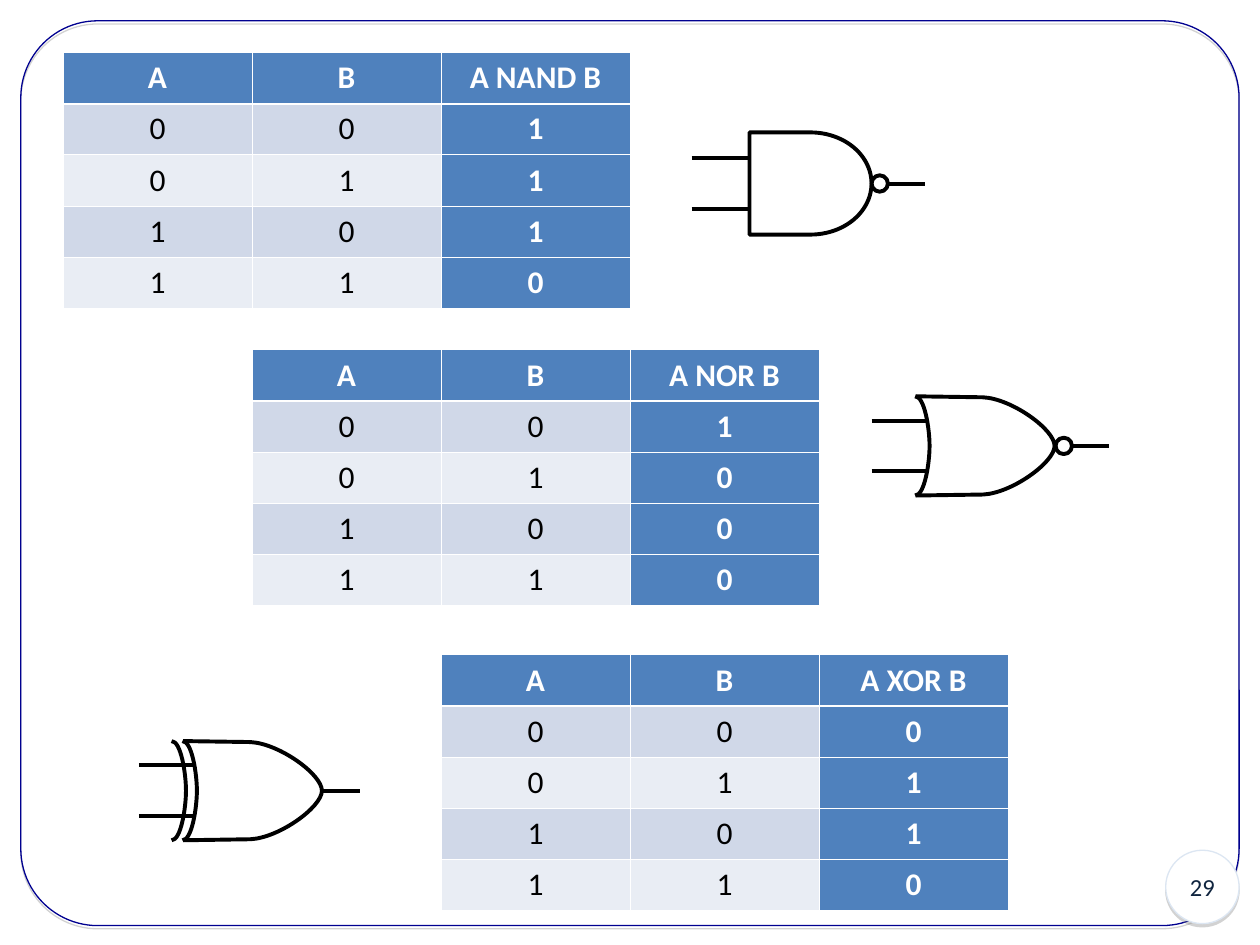
from dataclasses import dataclass

from lxml.etree import SubElement
from pptx import Presentation
from pptx.dml.color import RGBColor
from pptx.enum.shapes import MSO_CONNECTOR, MSO_SHAPE
from pptx.enum.text import MSO_ANCHOR, PP_ALIGN
from pptx.oxml import parse_xml
from pptx.oxml.ns import nsdecls, qn
from pptx.util import Cm, Pt


@dataclass(frozen=True)
class Theme:
    font: str = "Calibri"
    table_size: float = 18
    number_size: float = 14
    accent: str = "4F81BD"
    bands: tuple = ("D0D8E8", "E9EDF4")
    white: str = "FFFFFF"
    black: str = "000000"
    frame: str = "000090"
    badge_line: str = "DCE6F2"
    badge_text: str = "10253F"
    shadow: str = "808080"
    thin: float = 0.75
    gate_line: float = 2.25
    cell_line: float = 0.45
    header_line: float = 1.47


THEME = Theme()
COLUMN_WIDTH, ROW_HEIGHT = 3.81, 1.03
PIN_OFFSET = 0.51
BUBBLE = 0.33
OUTPUT_LENGTH = 0.74
INPUTS = ((0, 0), (0, 1), (1, 0), (1, 1))
# Upper halves of the OR outlines; the last four points are one Bezier curve
OR_BODY = ((0, -1), (1.36, -0.98), (1.94, -0.95), (2.8, -0.33), (2.8, 0))
OR_BACK = ((-0.01, -1), (0.18, -1), (0.28, -0.34), (0.28, 0))


# Text and line formats
def write_text(frame, text, *, size, color, bold=False):
    paragraph = frame.paragraphs[0]
    paragraph.text = text
    paragraph.alignment = PP_ALIGN.CENTER
    font = paragraph.font
    font.name, font.size, font.bold = THEME.font, Pt(size), bold
    font.color.rgb = RGBColor.from_string(color)


def set_line(shape, color, width):
    shape.line.color.rgb = RGBColor.from_string(color)
    shape.line.width = Pt(width)


def make_hollow(shape, color=THEME.black, weight=THEME.gate_line):
    shape.shadow.inherit = False
    shape.fill.background()
    set_line(shape, color, weight)


def add_outline(shapes, kind, left, top, width, height, **line_format):
    shape = shapes.add_shape(kind, Cm(left), Cm(top), Cm(width), Cm(height))
    make_hollow(shape, **line_format)
    return shape


def add_drop_shadow(shape):
    effects = shape._element.spPr.find(qn("a:effectLst"))
    effects.append(parse_xml(
        f'<a:outerShdw {nsdecls("a")} blurRad="0" dist="{Pt(1.8)}" dir="5400000" rotWithShape="0">'
        f'<a:srgbClr val="{THEME.shadow}"><a:alpha val="35000"/></a:srgbClr></a:outerShdw>'))


# Frame and page number
def add_frame(slide):
    frame = add_outline(slide.shapes, MSO_SHAPE.ROUNDED_RECTANGLE, 0.42, 0.42, 24.56, 18.24,
                        color=THEME.frame, weight=THEME.thin)
    frame.adjustments[0] = 0.085
    add_drop_shadow(frame)


def add_page_number(slide, number):
    badge = add_outline(slide.shapes, MSO_SHAPE.OVAL, 23.5, 17.14, 1.48, 1.48,
                        color=THEME.badge_line, weight=THEME.thin)
    badge.fill.solid()
    badge.fill.fore_color.rgb = RGBColor.from_string(THEME.white)
    add_drop_shadow(badge)
    badge.text_frame.vertical_anchor = MSO_ANCHOR.MIDDLE
    write_text(badge.text_frame, number, size=THEME.number_size, color=THEME.badge_text)


# Truth tables
def set_borders(cell, top, bottom):
    properties = cell._tc.get_or_add_tcPr()
    widths = {"L": THEME.cell_line, "R": THEME.cell_line, "T": top, "B": bottom}
    for side, width in widths.items():
        line = SubElement(properties, qn(f"a:ln{side}"), w=str(Pt(width)))
        fill = SubElement(line, qn("a:solidFill"))
        SubElement(fill, qn("a:srgbClr"), val=THEME.white)


def add_truth_table(slide, left, top, operator, results):
    rows = [("A", "B", f"A {operator} B")]
    rows += [(*pair, result) for pair, result in zip(INPUTS, results)]
    table = slide.shapes.add_table(len(rows), 3, Cm(left), Cm(top), Cm(3 * COLUMN_WIDTH),
                                   Cm(len(rows) * ROW_HEIGHT)).table
    table.first_row = table.horz_banding = False
    for column in table.columns:
        column.width = Cm(COLUMN_WIDTH)
    for row_index, values in enumerate(rows):
        table.rows[row_index].height = Cm(ROW_HEIGHT)
        for column_index, value in enumerate(values):
            cell = table.cell(row_index, column_index)
            strong = row_index == 0 or column_index == 2
            set_borders(cell,
                        top=THEME.header_line if row_index == 1 else THEME.cell_line,
                        bottom=THEME.header_line if row_index == 0 else THEME.cell_line)
            cell.fill.solid()
            fill = THEME.accent if strong else THEME.bands[(row_index - 1) % 2]
            cell.fill.fore_color.rgb = RGBColor.from_string(fill)
            write_text(cell.text_frame, str(value), size=THEME.table_size, bold=strong,
                       color=THEME.white if strong else THEME.black)


# Logic gates: x is the back of the body, y its centre line
def add_wire(shapes, start, end, y):
    wire = shapes.add_connector(MSO_CONNECTOR.STRAIGHT, Cm(start), Cm(y), Cm(end), Cm(y))
    set_line(wire, THEME.black, THEME.gate_line)
    SubElement(wire._element.spPr, qn("a:effectLst"))


def add_inputs(shapes, start, end, y):
    for offset in (PIN_OFFSET, -PIN_OFFSET):
        add_wire(shapes, start, end, y + offset)


def add_output(shapes, x, y, inverted):
    if inverted:
        add_outline(shapes, MSO_SHAPE.OVAL, x, y - BUBBLE / 2, BUBBLE, BUBBLE)
        x += BUBBLE
    add_wire(shapes, x, x + OUTPUT_LENGTH, y)


def bend(segments):
    """Turn three straight segments into one Bezier curve through their ends."""
    curve = parse_xml(f'<a:cubicBezTo {nsdecls("a")}/>')
    segments[0].addprevious(curve)
    for segment in segments:
        curve.append(segment[0])
        segment.getparent().remove(segment)


def add_symmetric_curve(shapes, x, y, upper_half):
    """Draw the upper half and its reflection in the centre line."""
    lower_half = tuple((across, -down) for across, down in reversed(upper_half[:-1]))
    points = [(Cm(x + across), Cm(y + down)) for across, down in upper_half + lower_half]
    builder = shapes.build_freeform(*points[0], scale=1.0)
    builder.add_line_segments(points[1:], close=False)
    shape = builder.convert_to_shape()
    segments = list(shape._element.iter(qn("a:lnTo")))
    middle = len(segments) // 2
    bend(segments[middle - 3:middle])
    bend(segments[middle:middle + 3])
    make_hollow(shape)


def add_nand_gate(slide, x, y):
    shapes = slide.shapes.add_group_shape().shapes
    width, height = 2.46, 2.06
    add_inputs(shapes, x - 1.17, x, y)
    add_outline(shapes, MSO_SHAPE.FLOWCHART_DELAY, x, y - height / 2, width, height)
    add_output(shapes, x + width, y, inverted=True)


def add_or_gate(slide, x, y, inverted=False, exclusive=False):
    shapes = slide.shapes.add_group_shape().shapes
    add_inputs(shapes, x - 0.89, x + 0.27, y)
    add_symmetric_curve(shapes, x, y, OR_BODY)
    for offset in (0, -0.22) if exclusive else (0,):
        add_symmetric_curve(shapes, x + offset, y, OR_BACK)
    add_output(shapes, x + 2.82, y, inverted)


def main():
    presentation = Presentation()
    presentation.slide_width, presentation.slide_height = Cm(25.4), Cm(19.05)
    slide = presentation.slides.add_slide(presentation.slide_layouts[6])

    add_frame(slide)
    add_page_number(slide, "29")

    add_truth_table(slide, 1.27, 1.06, "NAND", (1, 1, 1, 0))
    add_truth_table(slide, 5.08, 7.05, "NOR", (1, 0, 0, 0))
    add_truth_table(slide, 8.89, 13.2, "XOR", (0, 1, 1, 0))

    add_nand_gate(slide, 15.11, 3.7)
    add_or_gate(slide, 18.46, 8.99, inverted=True)
    add_or_gate(slide, 3.69, 15.94, exclusive=True)

    presentation.save("out.pptx")


if __name__ == "__main__":
    main()
